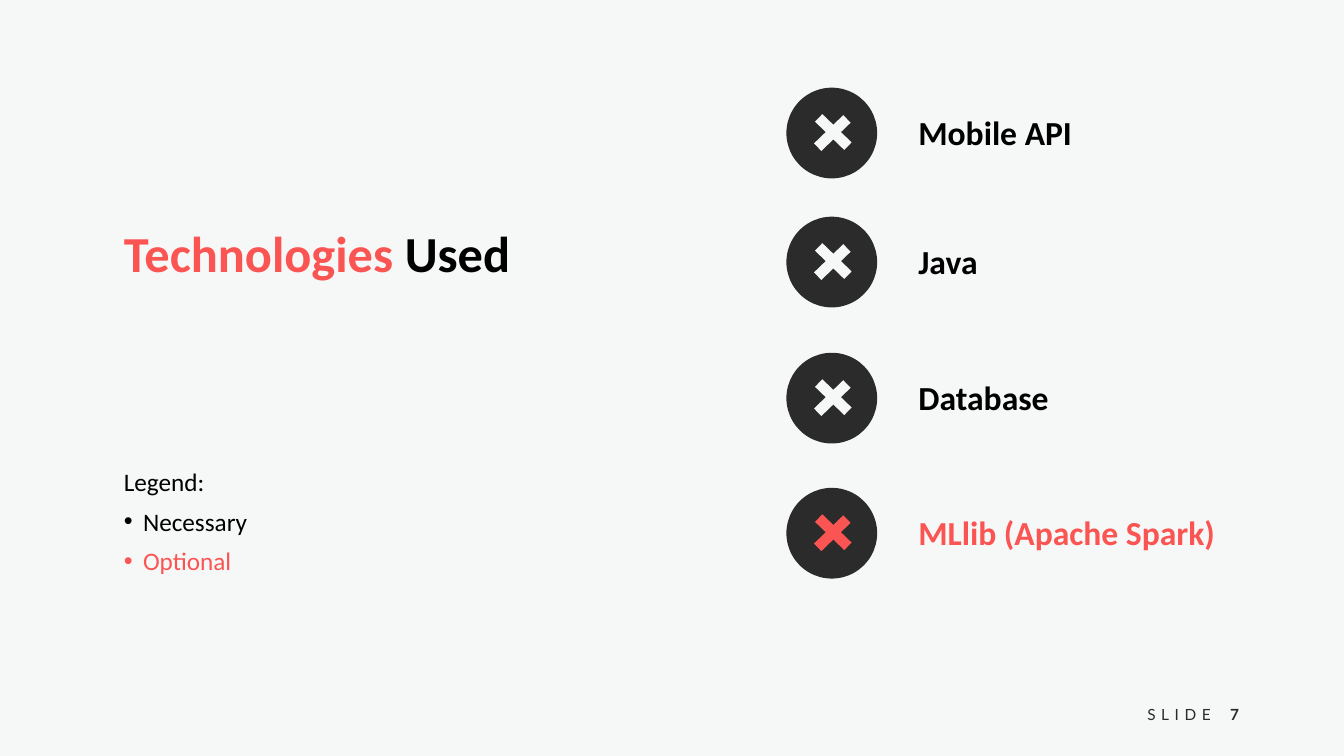
import dataclasses
import typing

import lxml.etree
import pptx
import pptx.dml.color
import pptx.enum.shapes
import pptx.enum.text
import pptx.oxml.ns
import pptx.slide
import pptx.text.text
import pptx.util

Inches = pptx.util.Inches
Align = pptx.enum.text.PP_ALIGN
Anchor = pptx.enum.text.MSO_ANCHOR


@dataclasses.dataclass(frozen=True)
class Theme:
    background: str = "F6F8F8"
    dark: str = "2B2B2B"
    accent: str = "FA5552"
    text: str = "000000"
    body_font: str = "Calibri"
    footer_font: str = "Lato"
    title_size: float = 36
    item_size: float = 24
    legend_size: float = 18
    footer_size: float = 11
    cross_width: float = 7.5


THEME = Theme()


class Run(typing.NamedTuple):
    text: str
    color: str = THEME.text


class Line(typing.NamedTuple):
    runs: tuple[Run, ...]
    bullet: bool = False


class Technology(typing.NamedTuple):
    name: str
    top: float
    label_width: float
    optional: bool = False


TECHNOLOGIES = (
    Technology("Mobile API", 0.87, 2.9),
    Technology("Java", 2.15, 3.19),
    Technology("Database", 3.5, 3.19),
    Technology("MLlib (Apache Spark)", 4.84, 3.81, optional=True),
)
CIRCLE_LEFT = 7.8
CIRCLE_SIZE = 0.9
LABEL_LEFT = 9.01
LABEL_OFFSET = 0.19
# Strokes of the cross, measured from the circle's top left corner
CROSS_STROKES = ((0.6, 0.31, 0.31, 0.59), (0.61, 0.58, 0.32, 0.3))


def rgb(color: str) -> pptx.dml.color.RGBColor:
    return pptx.dml.color.RGBColor.from_string(color)


def add_bullet(paragraph: pptx.text.text._Paragraph) -> None:
    properties = paragraph._p.get_or_add_pPr()
    indent = Inches(0.19)
    properties.set("marL", str(indent))
    properties.set("indent", str(-indent))
    for tag, attribute, value in (("a:buFont", "typeface", "Arial"), ("a:buChar", "char", "•")):
        lxml.etree.SubElement(properties, pptx.oxml.ns.qn(tag)).set(attribute, value)


def add_text(
    slide: pptx.slide.Slide,
    box: tuple[float, float, float, float],
    lines: tuple[Line, ...],
    *,
    size: float,
    font: str = THEME.body_font,
    bold: bool = False,
    align: Align = Align.LEFT,
    anchor: Anchor = Anchor.TOP,
    wrap: bool = True,
    line_spacing: float = 1.0,
    letter_spacing: float = 0,
) -> None:
    """Add a text box; letter_spacing is in points."""
    frame = slide.shapes.add_textbox(*map(Inches, box)).text_frame
    frame.word_wrap = wrap
    frame.vertical_anchor = anchor
    for index, line in enumerate(lines):
        paragraph = frame.add_paragraph() if index else frame.paragraphs[0]
        paragraph.alignment = align
        paragraph.line_spacing = line_spacing
        if line.bullet:
            add_bullet(paragraph)
        for part in line.runs:
            run = paragraph.add_run()
            run.text = part.text
            run.font.name = font
            run.font.size = pptx.util.Pt(size)
            run.font.bold = bold
            run.font.color.rgb = rgb(part.color)
            if letter_spacing:
                run.font._element.set("spc", str(round(letter_spacing * 100)))


def add_stroke(
    slide: pptx.slide.Slide, start: tuple[float, float], end: tuple[float, float], color: str
) -> None:
    stroke = slide.shapes.add_connector(
        pptx.enum.shapes.MSO_CONNECTOR.STRAIGHT, *map(Inches, (*start, *end))
    )
    stroke.line.color.rgb = rgb(color)
    stroke.line.width = pptx.util.Pt(THEME.cross_width)
    lxml.etree.SubElement(stroke._element.spPr, pptx.oxml.ns.qn("a:effectLst"))


def add_technology(slide: pptx.slide.Slide, technology: Technology) -> None:
    top = technology.top
    circle = slide.shapes.add_shape(
        pptx.enum.shapes.MSO_SHAPE.OVAL,
        *map(Inches, (CIRCLE_LEFT, top, CIRCLE_SIZE, CIRCLE_SIZE)),
    )
    circle.shadow.inherit = False
    circle.fill.solid()
    circle.fill.fore_color.rgb = rgb(THEME.dark)
    circle.line.fill.background()

    cross_color = THEME.accent if technology.optional else THEME.background
    for x1, y1, x2, y2 in CROSS_STROKES:
        add_stroke(slide, (CIRCLE_LEFT + x1, top + y1), (CIRCLE_LEFT + x2, top + y2), cross_color)

    label_color = THEME.accent if technology.optional else THEME.text
    add_text(
        slide,
        (LABEL_LEFT, top + LABEL_OFFSET, technology.label_width, 0.5),
        (Line((Run(technology.name, label_color),)),),
        size=THEME.item_size,
        bold=True,
    )


def add_footer(slide: pptx.slide.Slide) -> None:
    add_text(
        slide, (12.01, 6.86, 0.47, 0.45), (Line((Run("7", THEME.dark),)),),
        size=THEME.footer_size, font=THEME.footer_font, bold=True,
        align=Align.CENTER, anchor=Anchor.MIDDLE,
    )
    add_text(
        slide, (11.26, 6.95, 0.87, 0.29), (Line((Run("SLIDE", THEME.dark),)),),
        size=THEME.footer_size, font=THEME.footer_font,
        align=Align.CENTER, wrap=False, letter_spacing=4,
    )


def main() -> None:
    presentation = pptx.Presentation()
    presentation.slide_width = Inches(13.33)
    presentation.slide_height = Inches(7.5)
    slide = presentation.slides.add_slide(presentation.slide_layouts[6])
    slide.background.fill.solid()
    slide.background.fill.fore_color.rgb = rgb(THEME.background)

    add_footer(slide)
    add_text(
        slide, (1.13, 2.15, 5.52, 0.71),
        (Line((Run("Technologies ", THEME.accent), Run("Used"))),),
        size=THEME.title_size, bold=True,
    )
    for technology in TECHNOLOGIES:
        add_technology(slide, technology)
    legend = (
        Line((Run("Legend:"),)),
        Line((Run("Necessary"),), bullet=True),
        Line((Run("Optional", THEME.accent),), bullet=True),
    )
    add_text(slide, (1.13, 4.49, 5.52, 1.25), legend, size=THEME.legend_size, line_spacing=1.3)
    presentation.save("out.pptx")


if __name__ == "__main__":
    main()
